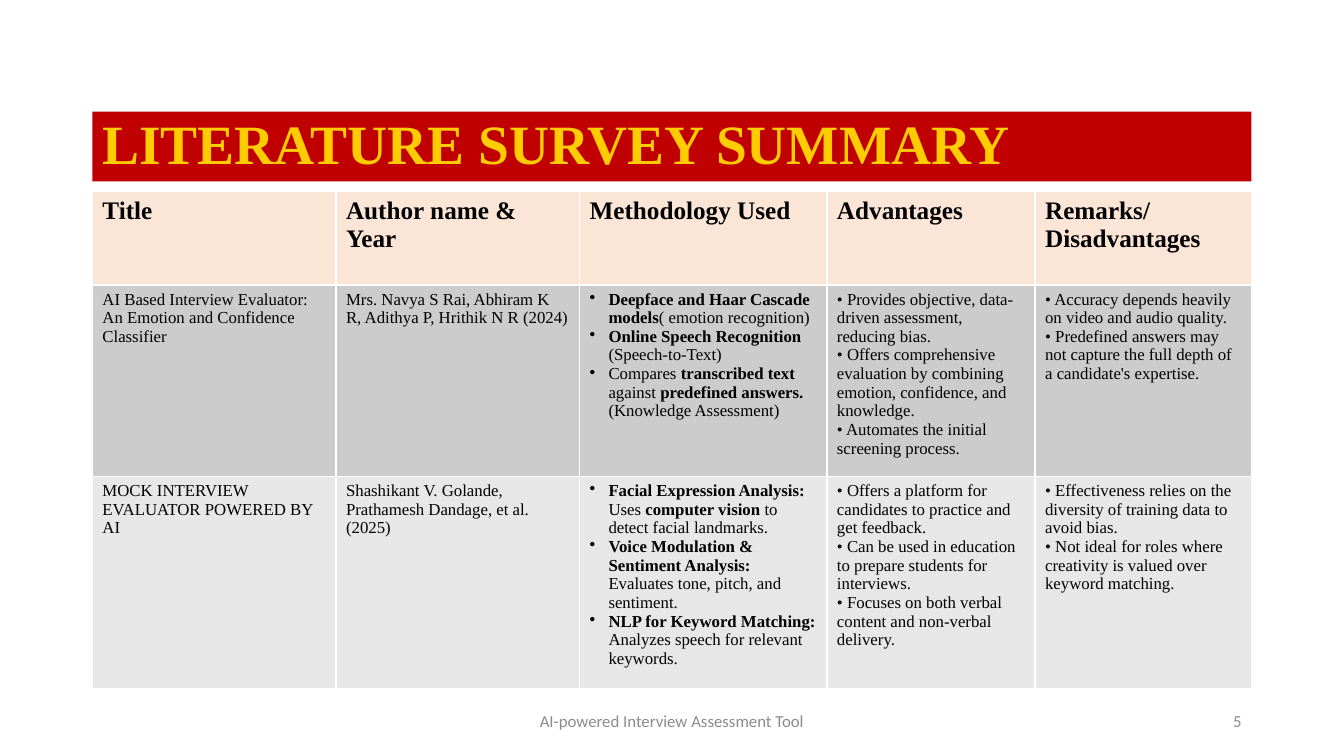
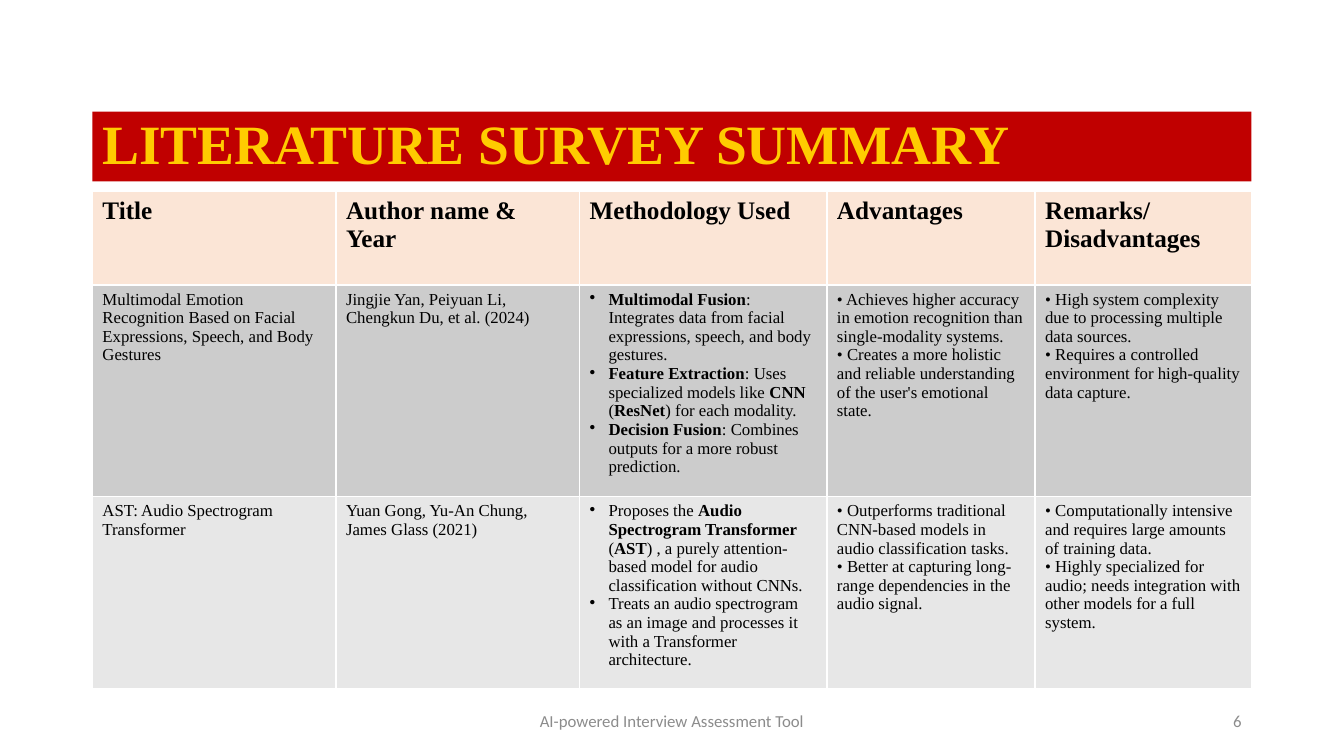
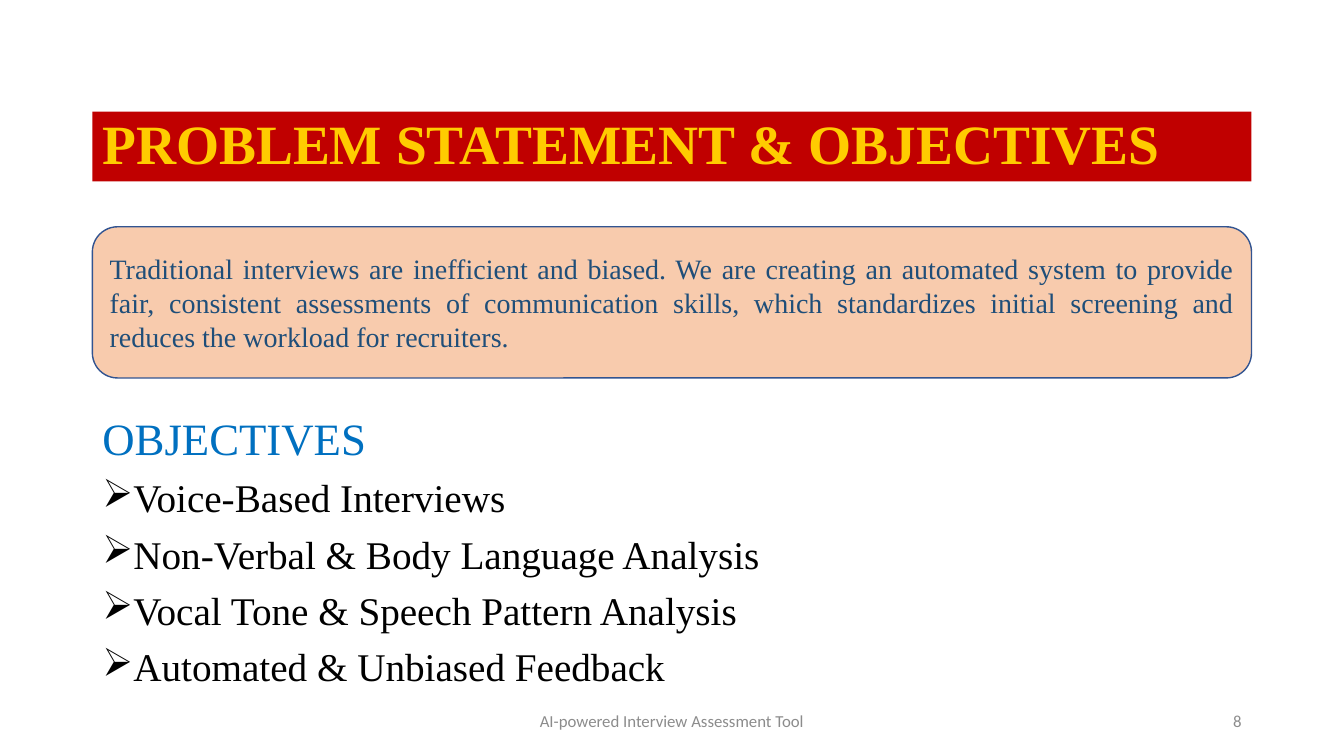
import pptx
import pptx.dml.color
import pptx.enum.shapes
import pptx.enum.text
import pptx.oxml
import pptx.util
from pptx.oxml.ns import qn

Pt = pptx.util.Pt
ALIGN = pptx.enum.text.PP_ALIGN
ANCHOR = pptx.enum.text.MSO_ANCHOR
SHAPE = pptx.enum.shapes.MSO_SHAPE

COLORS = {
    "band": "C00000", "title": "FFCC00", "footer": "8C8C8C", "text": "000000",
    "header": "FBE5D6", "odd_row": "CCCCCC", "even_row": "E7E7E7",
    "statement": "F8CBAD", "statement_line": "325491",
    "statement_text": "1F4E79", "heading": "0070C0",
}
SERIF = "Times New Roman"
FORMATS = {
    "title": {"name": SERIF, "size": Pt(39.6), "bold": True, "color": "title"},
    "footer": {"name": "Calibri", "size": Pt(12), "color": "footer"},
    "header": {"name": SERIF, "size": Pt(18), "bold": True, "color": "text"},
    "cell": {"name": SERIF, "size": Pt(12), "bold": False, "color": "text"},
    "statement": {"name": SERIF, "size": Pt(20), "color": "statement_text"},
    "heading": {"name": SERIF, "size": Pt(32), "color": "heading"},
    "objective": {"name": SERIF, "size": Pt(28), "color": "text"},
}
LEFT, WIDTH = 66, 828
FOOTER = "AI-powered Interview Assessment Tool"
COLUMN_WIDTHS = [174, 174, 176.7, 148.7, 154.6]
ROW_HEIGHTS = [66.6, 119.5, 119.5]
HEADERS = ["Title", "Author name & Year", "Methodology Used", "Advantages",
           "Remarks/ Disadvantages"]
METHOD_COLUMN = HEADERS.index("Methodology Used")

# Each study lists its paragraphs column by column; ** marks bold text.
SURVEYS = {
    "5": [
        [["AI Based Interview Evaluator: An Emotion and Confidence Classifier"],
         ["Mrs. Navya S Rai, Abhiram K R, Adithya P, Hrithik N R (2024)"],
         ["**Deepface and Haar Cascade models**( emotion recognition)",
          "**Online Speech Recognition** (Speech-to-Text)",
          "Compares **transcribed text** against **predefined answers.** "
          "(Knowledge Assessment)"],
         ["• Provides objective, data-driven assessment, reducing bias.",
          "• Offers comprehensive evaluation by combining emotion, confidence, "
          "and knowledge.",
          "• Automates the initial screening process."],
         ["• Accuracy depends heavily on video and audio quality.",
          "• Predefined answers may not capture the full depth of a "
          "candidate's expertise."]],
        [["MOCK INTERVIEW EVALUATOR POWERED BY AI"],
         ["Shashikant V. Golande, Prathamesh Dandage, et al. (2025)"],
         ["**Facial Expression Analysis:** Uses **computer vision **to detect "
          "facial landmarks.",
          "**Voice Modulation & Sentiment Analysis:** Evaluates tone, pitch, "
          "and sentiment.",
          "**NLP for Keyword Matching:** Analyzes speech for relevant keywords."],
         ["• Offers a platform for candidates to practice and get feedback.",
          "• Can be used in education to prepare students for interviews.",
          "• Focuses on both verbal content and non-verbal delivery."],
         ["• Effectiveness relies on the diversity of training data to avoid "
          "bias.",
          "• Not ideal for roles where creativity is valued over keyword "
          "matching."]],
    ],
    "6": [
        [["Multimodal Emotion Recognition Based on Facial Expressions, Speech, "
          "and Body Gestures"],
         ["Jingjie Yan, Peiyuan Li, Chengkun Du, et al. (2024)"],
         ["**Multimodal Fusion**: Integrates data from facial expressions, "
          "speech, and body gestures.",
          "**Feature Extraction**: Uses specialized models like **CNN** "
          "(**ResNet**) for each modality.",
          "**Decision Fusion**: Combines outputs for a more robust prediction."],
         ["• Achieves higher accuracy in emotion recognition than "
          "single-modality systems.",
          "• Creates a more holistic and reliable understanding of the user's "
          "emotional state."],
         ["• High system complexity due to processing multiple data sources.",
          "• Requires a controlled environment for high-quality data capture."]],
        [["AST: Audio Spectrogram Transformer"],
         ["Yuan Gong, Yu-An Chung, James Glass (2021)"],
         ["Proposes the **Audio Spectrogram Transformer **(**AST**) , a purely "
          "attention-based model for audio classification without CNNs.",
          "Treats an audio spectrogram as an image and processes it with a "
          "Transformer architecture."],
         ["• Outperforms traditional CNN-based models in audio classification "
          "tasks.",
          "• Better at capturing long-range dependencies in the audio signal."],
         ["• Computationally intensive and requires large amounts of training "
          "data.",
          "• Highly specialized for audio; needs integration with other models "
          "for a full system."]],
    ],
}
STATEMENT = (
    "Traditional interviews are inefficient and biased. We are creating an "
    "automated system to provide fair, consistent assessments of communication "
    "skills, which standardizes initial screening and reduces the workload for "
    "recruiters.")
OBJECTIVES = ["Voice-Based Interviews", "Non-Verbal & Body Language Analysis",
              "Vocal Tone & Speech Pattern Analysis",
              "Automated & Unbiased Feedback"]


def rgb(name):
    return pptx.dml.color.RGBColor.from_string(COLORS[name])


def fill_with(target, color):
    target.fill.solid()
    target.fill.fore_color.rgb = rgb(color)


def apply_format(font, style):
    for key, value in FORMATS[style].items():
        if key == "color":
            font.color.rgb = rgb(value)
        else:
            setattr(font, key, value)


def add_bullet(paragraph, character, indent):
    """Give the paragraph a hanging bullet; indent is in points."""
    properties = paragraph._p.get_or_add_pPr()
    properties.set("marL", str(int(Pt(indent))))
    properties.set("indent", str(-int(Pt(indent))))
    bullet = pptx.oxml.xmlchemy.OxmlElement("a:buChar")
    bullet.set("char", character)
    properties.append(bullet)


def write(frame, texts, style, bullet=None, **paragraph_format):
    """Append texts as paragraphs; bullet is a (character, indent) pair."""
    for text in texts:
        first = not frame.paragraphs[0].runs
        paragraph = frame.paragraphs[0] if first else frame.add_paragraph()
        for key, value in paragraph_format.items():
            if not (first and key == "space_before"):
                setattr(paragraph, key, value)
        if bullet:
            add_bullet(paragraph, *bullet)
        for index, part in enumerate(text.split("**")):
            if part:
                run = paragraph.add_run()
                run.text = part
                apply_format(run.font, style)
                if index % 2:
                    run.font.bold = True


def add_box(slide, kind, box, fill, line=None):
    shape = slide.shapes.add_shape(kind, *map(Pt, box))
    shape.shadow.inherit = False
    fill_with(shape, fill)
    if line:
        shape.line.color.rgb = rgb(line)
        shape.line.width = Pt(1)
    else:
        shape.line.fill.background()
    shape.text_frame.vertical_anchor = ANCHOR.MIDDLE
    return shape


def add_text(slide, box, anchor=ANCHOR.TOP):
    frame = slide.shapes.add_textbox(*map(Pt, box)).text_frame
    frame.word_wrap = True
    frame.vertical_anchor = anchor
    return frame


def add_slide(presentation, title, number):
    """Add a slide with the title band and the footer."""
    slide = presentation.slides.add_slide(presentation.slide_layouts[6])
    band = add_box(slide, SHAPE.RECTANGLE, (LEFT, 79.7, WIDTH, 49.8), "band")
    write(band.text_frame, [title], "title", alignment=ALIGN.LEFT,
          line_spacing=0.9)
    for text, left, width, alignment in [(FOOTER, 318, 324, ALIGN.CENTER),
                                         (number, 678, 216, ALIGN.RIGHT)]:
        frame = add_text(slide, (left, 500.5, width, 28.8), ANCHOR.MIDDLE)
        write(frame, [text], "footer", alignment=alignment)
    return slide


def add_survey_table(slide, studies):
    rows = [[[header] for header in HEADERS], *studies]
    box = (LEFT, 137, WIDTH, sum(ROW_HEIGHTS))
    table = slide.shapes.add_table(len(rows), len(HEADERS), *map(Pt, box)).table
    for column, width in zip(table.columns, COLUMN_WIDTHS):
        column.width = Pt(width)
    for row, height in zip(table.rows, ROW_HEIGHTS):
        row.height = Pt(height)
    fills = ["header", "odd_row", "even_row"]
    for row_index, row in enumerate(rows):
        for column_index, texts in enumerate(row):
            cell = table.cell(row_index, column_index)
            fill_with(cell, fills[row_index])
            bulleted = row_index and column_index == METHOD_COLUMN
            write(cell.text_frame, texts, "cell" if row_index else "header",
                  ("•", 13.5) if bulleted else None)


def add_statement(slide):
    shape = add_box(slide, SHAPE.ROUNDED_RECTANGLE, (LEFT, 162, WIDTH, 108),
                    "statement", "statement_line")
    write(shape.text_frame, [STATEMENT], "statement", alignment=ALIGN.JUSTIFY)


def add_objectives(slide):
    frame = add_text(slide, (LEFT, 294, WIDTH, 206.5))
    layout = {"alignment": ALIGN.JUSTIFY, "line_spacing": 0.9,
              "space_before": Pt(10)}
    write(frame, ["OBJECTIVES"], "heading", **layout)
    write(frame, OBJECTIVES, "objective", ("➢", 18), **layout)


def main():
    presentation = pptx.Presentation()
    presentation.slide_width = Pt(960)
    presentation.slide_height = Pt(540)
    for number, studies in SURVEYS.items():
        slide = add_slide(presentation, "LITERATURE SURVEY SUMMARY", number)
        add_survey_table(slide, studies)
    slide = add_slide(presentation, "PROBLEM STATEMENT & OBJECTIVES", "8")
    add_statement(slide)
    add_objectives(slide)
    presentation.save("out.pptx")


if __name__ == "__main__":
    main()
